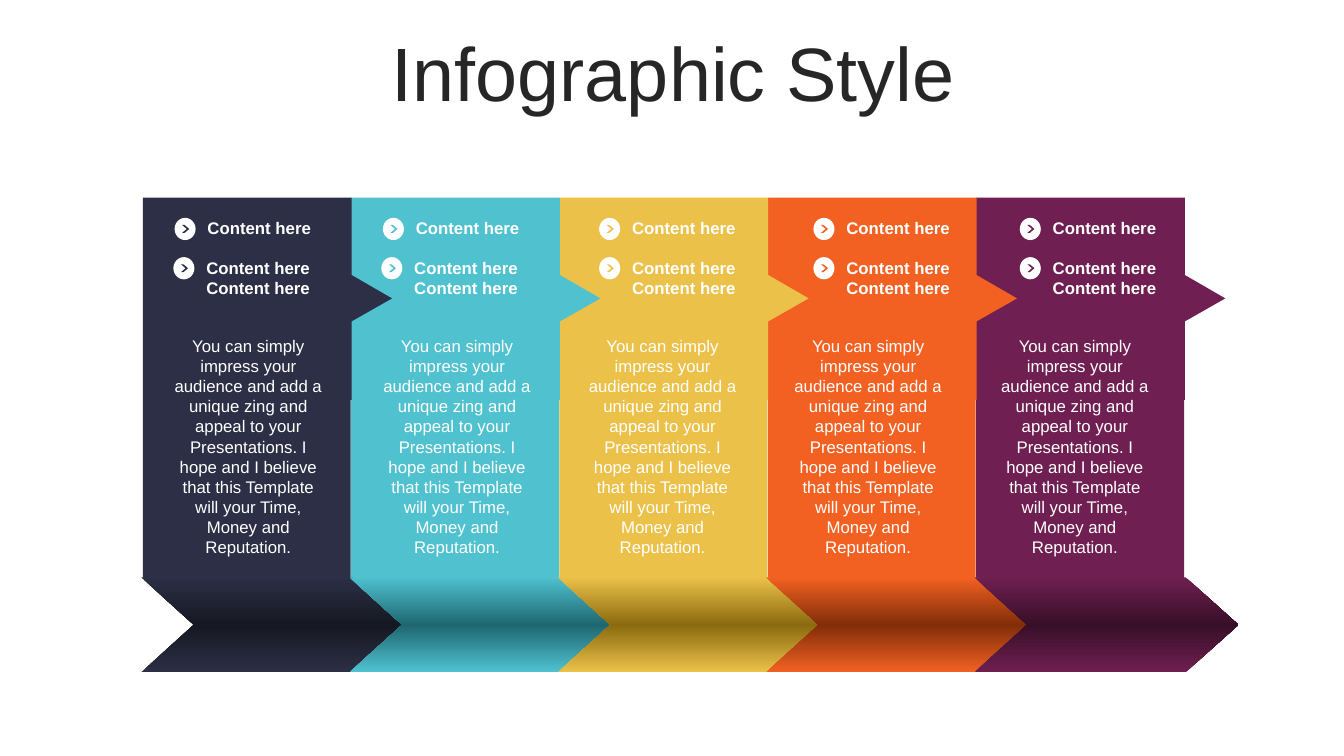
from copy import deepcopy
from dataclasses import dataclass

from pptx import Presentation
from pptx.dml.color import RGBColor
from pptx.enum.shapes import MSO_SHAPE as Kind
from pptx.enum.text import MSO_ANCHOR as Anchor, MSO_AUTO_SIZE as Auto, PP_ALIGN as Align
from pptx.oxml.ns import qn
from pptx.util import Cm, Pt

LEFT, PITCH, TOP = 3.6, 5.25, 4.98
WHITE = "FFFFFF"
LABEL = "Content here"
BODY = ("You can simply impress your audience and add a unique zing and appeal to your "
        "Presentations. I hope and I believe that this Template will your Time, Money "
        "and Reputation.")
OUTLINE = [(5.26, 4.98), (5.26, 6.93), (6.28, 7.52), (5.26, 8.1), (5.26, 10.08),
           (5.24, 10.08), (5.24, 14.58), (0, 14.58)]


@dataclass
class Step:
    color: str
    dark: str
    marks: tuple[float, float]
    body: float


@dataclass
class Style:
    font: dict
    para: dict
    frame: dict


STEPS = [
    Step("2C2F45", "161822", (4.4, 4.37), 4.09),
    Step("4FC1CF", "1F6770", (9.65, 9.61), 9.35),
    Step("EBC149", "8B6B0F", (15.1, 15.1), 14.53),
    Step("F26122", "822D08", (20.5, 20.5), 19.71),
    Step("6F1F51", "380F28", (25.7, 25.7), 24.92),
]
HEAD = Style({"name": "Arial", "size": Pt(54)},
             {"alignment": Align.CENTER, "line_spacing": 0.9},
             {"word_wrap": True, "vertical_anchor": Anchor.MIDDLE})
ITEM = Style({"name": "Arial", "size": Pt(12), "bold": True},
             {"alignment": Align.LEFT},
             {"word_wrap": True, "vertical_anchor": Anchor.MIDDLE,
              "auto_size": Auto.SHAPE_TO_FIT_TEXT})
PROSE = Style({"name": "Arial", "size": Pt(12)},
              {"alignment": Align.CENTER},
              {"word_wrap": True, "vertical_anchor": Anchor.TOP,
               "auto_size": Auto.SHAPE_TO_FIT_TEXT})


def rgb(code: str) -> RGBColor:
    return RGBColor.from_string(code)


def apply(target, values: dict) -> None:
    for name, value in values.items():
        setattr(target, name, value)


def paint(shape, code: str) -> None:
    shape.shadow.inherit = False
    shape.line.fill.background()
    shape.fill.solid()
    shape.fill.fore_color.rgb = rgb(code)


def blend(shape, codes: list[str]) -> None:
    shape.fill.gradient()
    stops = shape._element.spPr.find(qn("a:gradFill")).find(qn("a:gsLst"))
    stops.append(deepcopy(stops[0]))
    for k, (stop, code) in enumerate(zip(shape.fill.gradient_stops, codes)):
        stop.position = k / 2
        stop.color.rgb = rgb(code)
    shape.fill.gradient_angle = 270


def write(shapes, box: tuple, lines: list[str], style: Style, code: str = WHITE) -> None:
    frame = shapes.add_textbox(*map(Cm, box)).text_frame
    apply(frame, style.frame)
    frame.text = "\n".join(lines)
    for para in frame.paragraphs:
        apply(para, style.para)
        apply(para.font, style.font)
        para.font.color.rgb = rgb(code)


def banner(shapes, x: float, code: str) -> None:
    path = shapes.build_freeform(Cm(x), Cm(TOP), 1)
    path.add_line_segments([(Cm(x + dx), Cm(y)) for dx, y in OUTLINE], close=True)
    paint(path.convert_to_shape(), code)


def arrow(shapes, box: tuple, bend: float, code: str):
    shape = shapes.add_shape(Kind.CHEVRON, *map(Cm, box))
    shape.adjustments[0] = bend
    paint(shape, code)
    return shape


def mark(shapes, x: float, y: float, code: str, count: int) -> None:
    group = shapes.add_group_shape().shapes
    paint(group.add_shape(Kind.OVAL, Cm(x), Cm(y), Cm(0.53), Cm(0.56)), WHITE)
    arrow(group, (x + 0.19, y + 0.18, 0.18, 0.2), 0.652, code)
    write(group, (x + 0.58, y - 0.12, 3.23, 0.25 + 0.51 * count), [LABEL] * count, ITEM)


def main() -> None:
    deck = Presentation()
    deck.slide_width, deck.slide_height = Cm(33.87), Cm(19.05)
    shapes = deck.slides.add_slide(deck.slide_layouts[6]).shapes
    write(shapes, (0.89, 0.94, 32.16, 2.01), ["Infographic Style"], HEAD, "262626")
    for k, step in reversed(list(enumerate(STEPS))):
        banner(shapes, LEFT + k * PITCH, step.color)
    for k, step in enumerate(STEPS):
        base = arrow(shapes, (3.56 + k * PITCH, 14.55, 6.65, 2.39), 0.555, step.color)
        blend(base, [step.color, step.dark, step.color])
        for row, x in enumerate(step.marks):
            mark(shapes, x, 5.49 + 0.99 * row, step.color, row + 1)
        write(shapes, (step.body, 8.33, 4.34, 5.89), [BODY], PROSE)
    deck.save("out.pptx")


if __name__ == "__main__":
    main()
